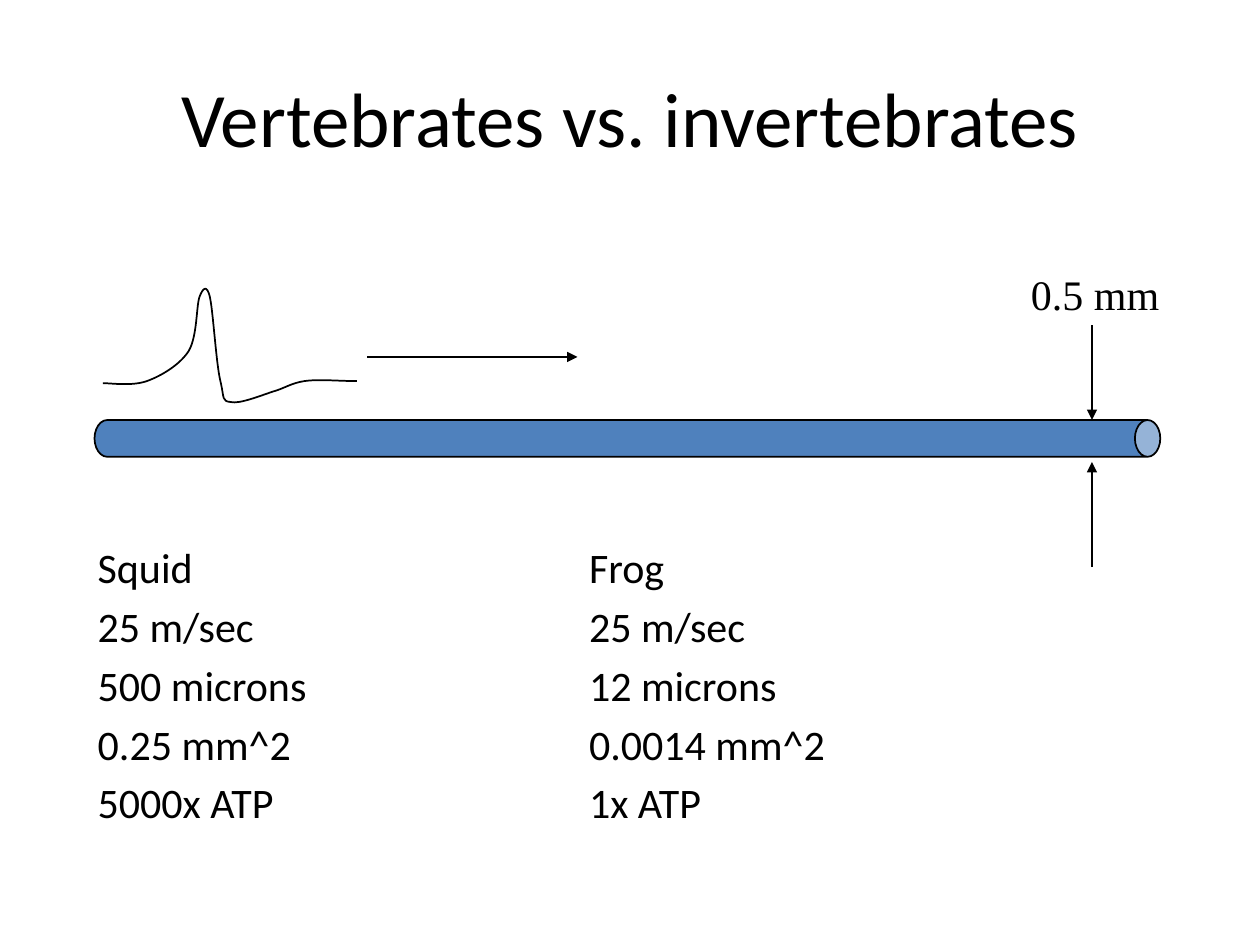
from typing import NamedTuple

from lxml.etree import SubElement
from pptx import Presentation
from pptx.dml.color import RGBColor
from pptx.enum.shapes import MSO_CONNECTOR, MSO_SHAPE
from pptx.enum.text import MSO_ANCHOR, MSO_AUTO_SIZE, PP_ALIGN
from pptx.oxml.ns import qn
from pptx.util import Emu, Inches, Pt

COLORS = {"ink": "000000", "axon": "4F81BD"}
CELL = Inches(10) / 12  # the slide is a grid of 12 columns by 9 rows


class Point(NamedTuple):
    column: float
    row: float


class Box(NamedTuple):
    column: float
    row: float
    columns: float
    rows: float


class Arrow(NamedTuple):
    start: Point
    end: Point


class Animal(NamedTuple):
    box: Box
    facts: list[str]


ANIMALS = [
    Animal(Box(0.81, 5.1, 4.48, 2.9),
           ["Squid", "25 m/sec", "500 microns", "0.25 mm^2", "5000x ATP"]),
    Animal(Box(5.49, 5.1, 4.48, 2.9),
           ["Frog", "25 m/sec", "12 microns", "0.0014 mm^2", "1x ATP"]),
]
ARROWS = [
    Arrow(Point(3.5, 3.4), Point(5.5, 3.4)),    # direction of travel
    Arrow(Point(10.4, 3.1), Point(10.4, 4)),    # diameter, from above
    Arrow(Point(10.4, 5.4), Point(10.4, 4.4)),  # diameter, from below
]
SPIKE_START = Point(0.98, 3.65)
# Each segment: two control points, then the end point
SPIKE_SEGMENTS = [
    (Point(1.06, 3.65), Point(1.26, 3.68), Point(1.4, 3.63)),
    (Point(1.54, 3.58), Point(1.72, 3.47), Point(1.8, 3.34)),
    (Point(1.88, 3.2), Point(1.87, 2.92), Point(1.9, 2.83)),
    (Point(1.93, 2.75), Point(1.97, 2.7), Point(2, 2.83)),
    (Point(2.03, 2.96), Point(2.06, 3.47), Point(2.1, 3.63)),
    (Point(2.14, 3.8), Point(2.11, 3.82), Point(2.2, 3.83)),
    (Point(2.28, 3.85), Point(2.48, 3.77), Point(2.6, 3.73)),
    (Point(2.71, 3.7), Point(2.77, 3.65), Point(2.9, 3.63)),
    (Point(3.04, 3.61), Point(3.22, 3.63), Point(3.4, 3.63)),
]


def grid(*cells: float) -> list[Emu]:
    return [Emu(round(cell * CELL)) for cell in cells]


def color(name: str) -> RGBColor:
    return RGBColor.from_string(COLORS[name])


def set_font(paragraph, size: int, name: str = "Calibri") -> None:
    font = paragraph.font
    font.name, font.size = name, Pt(size)
    font.color.rgb = color("ink")


def set_outline(shape) -> None:
    shape.line.color.rgb = color("ink")
    shape.line.width = Pt(1)


def place(shape, box: Box) -> None:
    shape.left, shape.top, shape.width, shape.height = grid(*box)


def fill_title(title, text: str) -> None:
    place(title, Box(0.6, 0.36, 10.8, 1.5))
    title.text_frame.text = text
    title.text_frame.vertical_anchor = MSO_ANCHOR.MIDDLE
    heading = title.text_frame.paragraphs[0]
    heading.alignment = PP_ALIGN.CENTER
    set_font(heading, 44)


def fill_facts(body, animal: Animal) -> None:
    place(body, animal.box)
    frame = body.text_frame
    frame.text = "\n".join(animal.facts)
    for paragraph in frame.paragraphs:
        SubElement(paragraph._p.get_or_add_pPr(), qn("a:buNone"))
        set_font(paragraph, 24)
    frame.paragraphs[0].space_before = Pt(0)


def draw_axon(shapes) -> None:
    axon = shapes.add_shape(MSO_SHAPE.CAN, *grid(5.8, -0.9, 0.35, 10.15))
    axon.rotation = 90
    axon.adjustments[0] = 0.69
    axon.shadow.inherit = False
    axon.fill.solid()
    axon.fill.fore_color.rgb = color("axon")
    set_outline(axon)


def curve_lines(freeform) -> None:
    """Turn every three straight segments into one cubic Bézier segment."""
    lines = list(freeform._element.iter(qn("a:lnTo")))
    for curve, second, end in zip(lines[::3], lines[1::3], lines[2::3]):
        curve.tag = qn("a:cubicBezTo")
        for line in (second, end):
            curve.append(line[0])
            line.getparent().remove(line)


def draw_spike(shapes) -> None:
    builder = shapes.build_freeform(*grid(*SPIKE_START))
    builder.add_line_segments(
        [grid(*point) for segment in SPIKE_SEGMENTS for point in segment], close=False)
    spike = builder.convert_to_shape()
    curve_lines(spike)
    spike.shadow.inherit = False
    spike.fill.background()
    set_outline(spike)


def draw_arrow(shapes, arrow: Arrow) -> None:
    connector = shapes.add_connector(
        MSO_CONNECTOR.STRAIGHT, *grid(*arrow.start, *arrow.end))
    set_outline(connector)
    SubElement(connector.line._get_or_add_ln(), qn("a:tailEnd"), type="triangle")
    SubElement(connector._element.spPr, qn("a:effectLst"))


def draw_diameter_label(shapes) -> None:
    frame = shapes.add_textbox(*grid(9.7, 2.5, 1.57, 0.6)).text_frame
    frame.word_wrap = False
    frame.auto_size = MSO_AUTO_SIZE.SHAPE_TO_FIT_TEXT
    frame.text = "0.5 mm"
    set_font(frame.paragraphs[0], 24, "Times New Roman")


def main() -> None:
    deck = Presentation()
    deck.slide_width, deck.slide_height = grid(12, 9)
    slide = deck.slides.add_slide(deck.slide_layouts.get_by_name("Two Content"))
    title, *bodies = slide.placeholders
    # The layout's date, footer and number are not carried over to the slide
    fill_title(title, "Vertebrates vs. invertebrates")
    for body, animal in zip(bodies, ANIMALS):
        fill_facts(body, animal)
    draw_axon(slide.shapes)
    draw_spike(slide.shapes)
    for arrow in ARROWS:
        draw_arrow(slide.shapes, arrow)
    draw_diameter_label(slide.shapes)
    deck.save("out.pptx")


if __name__ == "__main__":
    main()
